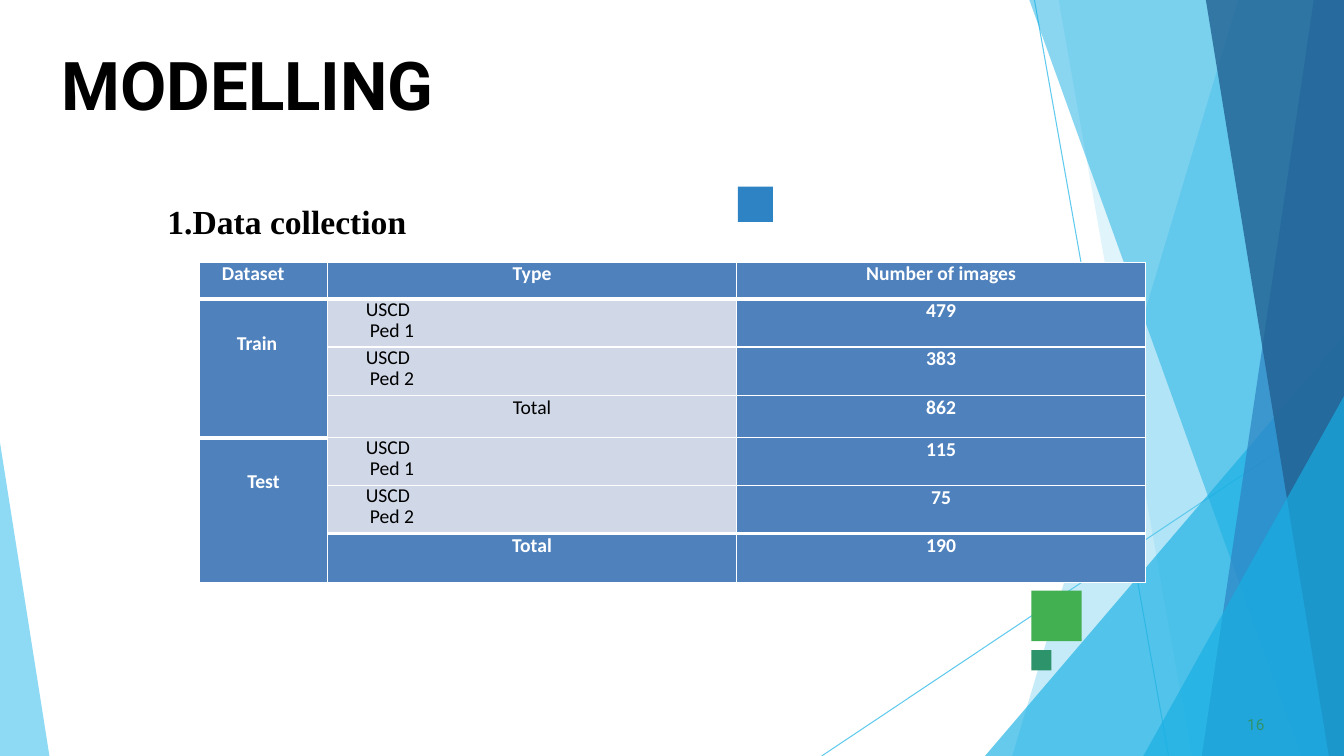
from collections import namedtuple
from dataclasses import dataclass

from lxml import etree
from pptx import Presentation
from pptx.dml.color import RGBColor
from pptx.enum import shapes, text
from pptx.oxml import ns
from pptx.util import Emu, Inches, Pt

Box = namedtuple("Box", "left top width height")


@dataclass(frozen=True)
class Theme:
    """Colours, fonts and type sizes of the deck."""
    sky: str = "5FCAEE"
    cyan: str = "17AFE3"
    blue: str = "2D83C3"
    navy: str = "226192"
    green: str = "42AF51"
    teal: str = "2D936B"
    head: str = "4F81BD"
    pale: str = "D0D8E8"
    white: str = "FFFFFF"
    black: str = "000000"
    display: str = "Roboto"
    serif: str = "Times New Roman"
    table: str = "Calibri"
    title_size: float = 48
    body_size: float = 24
    table_size: float = 14
    number_size: float = 11


THEME = Theme()
SLIDE = Box(0, 0, Inches(13.33), Inches(7.5))


def share(box, left, top, width=0, height=0):
    """Return the part of box given in percent of its size."""
    return Box(Emu(int(box.left + box.width * left / 100)),
               Emu(int(box.top + box.height * top / 100)),
               Emu(int(box.width * width / 100)),
               Emu(int(box.height * height / 100)))


def apply(target, formats):
    """Set every attribute named in formats on target."""
    for name, value in formats.items():
        setattr(target, name, value)


def write(paragraph, words, font, size, color, bold=False, **formats):
    """Put one formatted run into paragraph."""
    run = paragraph.add_run()
    run.text = words
    apply(run.font, {"name": font, "size": Pt(size), "bold": bold})
    run.font.color.rgb = RGBColor.from_string(color)
    apply(paragraph, formats)


def indent(paragraph, inches):
    """Set the left margin of paragraph without a hanging indent."""
    properties = paragraph._p.get_or_add_pPr()
    properties.set("marL", str(Inches(inches)))
    properties.set("indent", "0")


def add_ray(slide, box, start, end):
    """Draw a thin line between two points of box."""
    a, b = share(box, *start), share(box, *end)
    ray = slide.shapes.add_connector(
        shapes.MSO_CONNECTOR.STRAIGHT, a.left, a.top, b.left, b.top)
    ray.line.color.rgb = RGBColor.from_string(THEME.sky)
    ray.line.width = Pt(0.75)
    etree.SubElement(ray._element.spPr, ns.qn("a:effectLst"))


def add_facet(slide, box, color, opacity, points):
    """Draw a translucent polygon through points of box."""
    corners = [share(box, *point)[:2] for point in points]
    builder = slide.shapes.build_freeform(*corners[0])
    builder.add_line_segments(corners[1:], close=True)
    facet = builder.convert_to_shape()
    facet.shadow.inherit = False
    facet.line.fill.background()
    facet.fill.solid()
    facet.fill.fore_color.rgb = RGBColor.from_string(color)
    tint = facet._element.spPr.find(".//" + ns.qn("a:srgbClr"))
    etree.SubElement(tint, ns.qn("a:alpha"), val=str(opacity * 1000))


def add_backdrop(slide, box):
    """Draw the rays and facets along the slide's edges."""
    add_ray(slide, box, (76.97, 0), (86.95, 100))
    add_ray(slide, box, (100, 53.87), (61.14, 100))
    for color, opacity, outline in (
            (THEME.sky, 36, [(92.12, 0), (75.32, 100)]),
            (THEME.sky, 20, [(78.77, 0), (88.67, 100)]),
            (THEME.cyan, 66, [(100, 44.4), (73.29, 100)]),
            (THEME.cyan, 50, [(76.59, 0), (96.85, 100)]),
            (THEME.blue, 70, [(97.75, 0), (89.42, 100)]),
            (THEME.navy, 80, [(89.72, 0), (98.87, 100)]),
            (THEME.cyan, 66, [(100, 52.4), (85.07, 100)])):
        right = [(100, 100), (100, outline[0][1])]
        add_facet(slide, box, color, opacity, outline + right)
    add_facet(slide, box, THEME.sky, 70, [(0, 58.53), (0, 100), (3.68, 100)])


def add_accents(slide, box):
    """Place the small coloured squares."""
    for color, place in ((THEME.green, (76.74, 78.13, 3.75, 6.67)),
                         (THEME.blue, (54.91, 24.67, 2.6, 4.7)),
                         (THEME.teal, (76.74, 86, 1.5, 2.67))):
        square = slide.shapes.add_shape(
            shapes.MSO_SHAPE.RECTANGLE, *share(box, *place))
        square.shadow.inherit = False
        square.line.fill.background()
        square.fill.solid()
        square.fill.fore_color.rgb = RGBColor.from_string(color)


def add_heading(slide, box):
    """Fill the title placeholder."""
    title = slide.shapes.title
    apply(title, box._asdict())
    apply(title.text_frame, {
        "margin_left": 0, "margin_right": 0, "margin_bottom": 0,
        "margin_top": Inches(0.01), "word_wrap": True,
        "vertical_anchor": text.MSO_ANCHOR.TOP,
        "auto_size": text.MSO_AUTO_SIZE.NONE})
    write(title.text_frame.paragraphs[0], "MODELLING", THEME.display,
          THEME.title_size, THEME.black, True,
          alignment=text.PP_ALIGN.LEFT, space_before=Pt(1))


def add_section(slide, box):
    """Fill the body placeholder with the section name."""
    section = slide.placeholders[1]
    apply(section, box._asdict())
    apply(section.text_frame, {
        "margin_left": Inches(0.24), "margin_right": Inches(0.1),
        "margin_top": Inches(0.05), "margin_bottom": 0, "word_wrap": False,
        "vertical_anchor": text.MSO_ANCHOR.MIDDLE,
        "auto_size": text.MSO_AUTO_SIZE.NONE})
    line = section.text_frame.paragraphs[0]
    write(line, "1.Data collection", THEME.serif, THEME.body_size,
          THEME.black, True, space_before=Pt(0))
    indent(line, 0)
    etree.SubElement(line._p.get_or_add_pPr(), ns.qn("a:buNone"))


def add_number(slide, box):
    """Write the page number."""
    number = slide.shapes.add_textbox(*box).text_frame
    apply(number, {"margin_left": Inches(0.04), "margin_right": 0,
                   "margin_top": Inches(0.01), "margin_bottom": 0,
                   "word_wrap": True})
    write(number.paragraphs[0], "16", THEME.display, THEME.number_size,
          THEME.teal, space_before=Pt(0.6))


def add_borders(cell, top, bottom):
    """Give cell white borders with the top and bottom weights in points."""
    properties = cell._tc.get_or_add_tcPr()
    sides = {"lnL": 1, "lnR": 1, "lnT": top, "lnB": bottom}
    for place, (side, weight) in enumerate(sides.items()):
        edge = etree.Element(ns.qn("a:" + side), w=str(Pt(weight)))
        fill = etree.SubElement(edge, ns.qn("a:solidFill"))
        etree.SubElement(fill, ns.qn("a:srgbClr"), val=THEME.white)
        properties.insert(place, edge)


def add_dataset_table(slide, box):
    """Build the table of image counts per dataset."""
    rows = [("Dataset", "Type", "Number of images"),
            ("Train", "USCD\nPed 1", "479"), ("", "USCD\nPed 2", "383"),
            ("", "Total", "862"),
            ("Test", "USCD\nPed 1", "115"), ("", "USCD\nPed 2", "75"),
            ("", "Total", "190")]
    heavy_tops = {(1, 0), (1, 1), (1, 2), (4, 0), (6, 1), (6, 2)}
    left_indents = {"Dataset": 0.22, "Train": 0.37, "USCD": 0.38,
                    "Ped 1": 0.42, "Ped 2": 0.42}
    line_heights = {"USCD": Pt(16), "Ped 1": Pt(15), "Ped 2": Pt(15)}
    table = slide.shapes.add_table(len(rows), 3, *box).table
    for column, part in zip(table.columns, (13.52, 43.24, 43.24)):
        column.width = Emu(int(box.width * part / 100))
    for row, part in zip(table.rows, (11.6, 14.9, 15.1, 13.2, 14.9, 15, 15.3)):
        row.height = Emu(int(box.height * part / 100))
    for r, c in ((r, c) for r in range(len(rows)) for c in range(3)):
        cell, words = table.cell(r, c), rows[r][c]
        group = words in ("Train", "Test")
        pale = c == 1 and 0 < r < len(rows) - 1
        apply(cell, {"margin_left": 0, "margin_right": 0, "margin_bottom": 0,
                     "margin_top": Inches(0.32 if group else 0)})
        cell.fill.solid()
        cell.fill.fore_color.rgb = RGBColor.from_string(
            THEME.pale if pale else THEME.head)
        add_borders(cell, 3 if (r, c) in heavy_tops else 1,
                    3 if (r + 1, c) in heavy_tops else 1)
        for i, entry in enumerate(words.split("\n") if words else ()):
            frame = cell.text_frame
            line = frame.add_paragraph() if i else frame.paragraphs[0]
            aligned = "LEFT" if entry in left_indents else "CENTER"
            write(line, entry, THEME.table, THEME.table_size,
                  THEME.black if pale else THEME.white, not pale,
                  alignment=text.PP_ALIGN[aligned],
                  space_before=Pt(0 if i or group else 2),
                  line_spacing=line_heights.get(entry))
            indent(line, left_indents.get(entry, 0))
    for first in (1, 4):
        table.cell(first, 0).merge(table.cell(first + 2, 0))


def main():
    """Build and save the slide."""
    deck = Presentation()
    deck.slide_width, deck.slide_height = SLIDE.width, SLIDE.height
    slide = deck.slides.add_slide(deck.slide_layouts[1])
    add_backdrop(slide, SLIDE)
    add_accents(slide, SLIDE)
    add_heading(slide, share(SLIDE, 4.58, 5.6, 80.12, 16.4))
    add_number(slide, share(SLIDE, 92.5, 94.4, 1.95, 2.8))
    add_dataset_table(slide, share(SLIDE, 14.85, 34.67, 70.4, 42.4))
    add_section(slide, share(SLIDE, 10.65, 25.87, 20.48, 6))
    deck.save("out.pptx")


if __name__ == "__main__":
    main()
